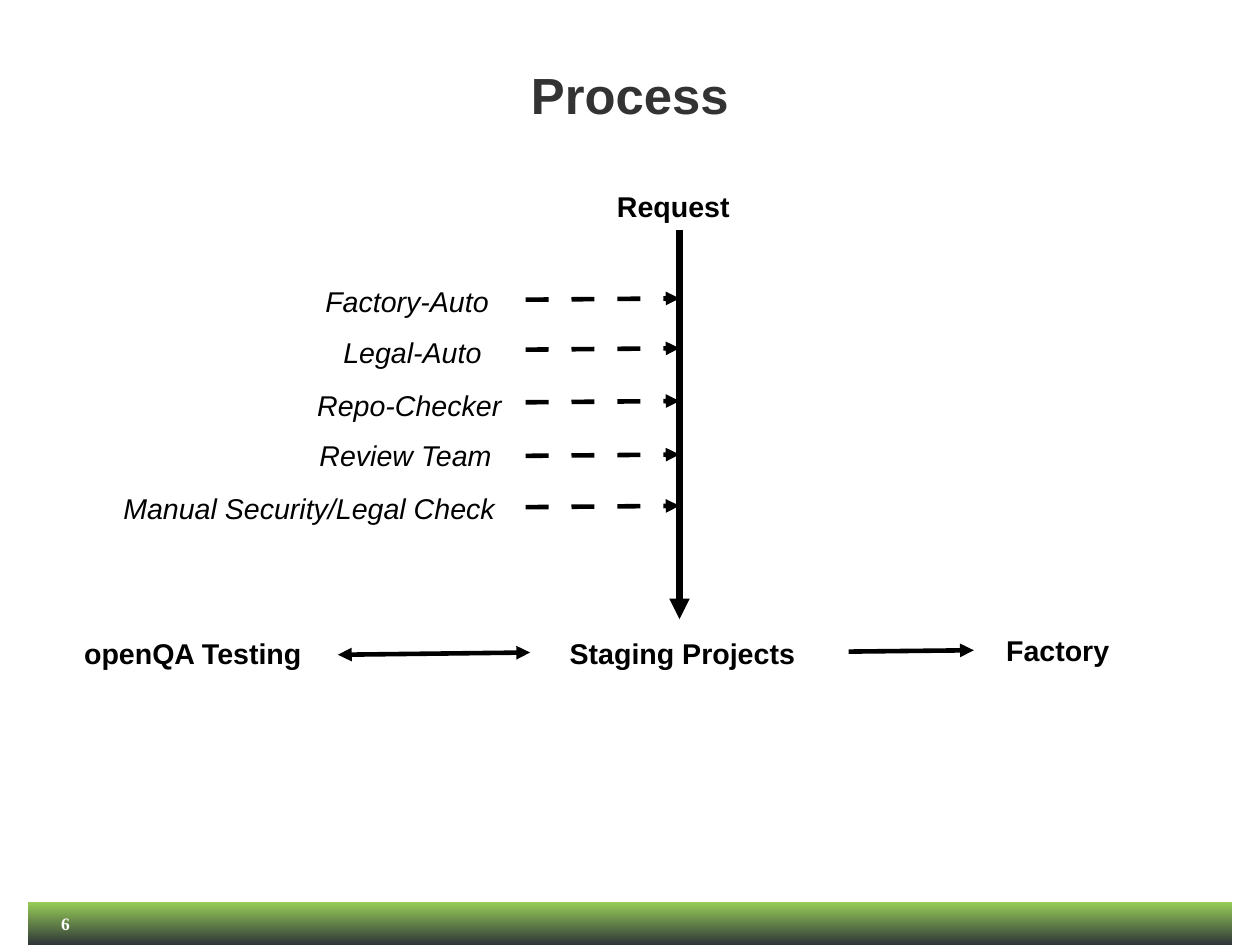
from dataclasses import dataclass

import pptx
import pptx.dml.color
import pptx.enum.shapes
import pptx.enum.text
import pptx.oxml.ns
import pptx.util
from lxml import etree
from pptx.util import Cm

COLORS = {"text": "000000", "title": "333333", "number": "FFFFFF",
          "bar_top": "98CE57", "bar_bottom": "2E3638"}


@dataclass
class Label:
    text: str
    x: float
    y: float
    width: float
    italic: bool = False


@dataclass
class Arrow:
    x1: float
    y1: float
    x2: float
    y2: float
    weight: float = 2.89
    dashed: bool = False
    both_ends: bool = False


@dataclass
class Check:
    text: str
    x: float
    y: float
    width: float
    arrow_y: float


LABEL_HEIGHT = 0.97
FLOW_X = 15.1  # vertical line from Request to Staging Projects
CHECK_ARROW_X = 11.68

CHECKS = [
    Check("Factory-Auto", 6.98, 6.18, 4.2, 6.66),
    Check("Legal-Auto", 7.38, 7.32, 3.65, 7.77),
    Check("Repo-Checker", 6.8, 8.49, 4.65, 8.94),
    Check("Review Team", 6.85, 9.6, 4.4, 10.13),
    Check("Manual Security/Legal Check", 2.49, 10.78, 8.8, 11.27),
]
STAGES = [
    Label("Request", 13.46, 4.08, 3.55),
    Label("openQA Testing", 1.62, 14, 5.45),
    Label("Staging Projects", 12.41, 14, 5.8),
    Label("Factory", 22.11, 13.94, 2.9),
]
STAGE_ARROWS = [
    Arrow(FLOW_X, 5.11, FLOW_X, 13.76, weight=4.31),
    Arrow(7.51, 14.55, 11.78, 14.5, both_ends=True),
    Arrow(18.86, 14.48, 21.64, 14.45),
]


def rgb(name: str) -> pptx.dml.color.RGBColor:
    return pptx.dml.color.RGBColor.from_string(COLORS[name])


def format_run(r, size: float, color: str, font: str = "Arial",
               bold: bool = False, italic: bool = False) -> None:
    r.font.name = font
    r.font.size = pptx.util.Pt(size)
    r.font.bold = bold
    r.font.italic = italic
    r.font.color.rgb = rgb(color)


def center_frame(tf) -> None:
    tf.margin_left = tf.margin_right = tf.margin_top = tf.margin_bottom = 0
    tf.vertical_anchor = pptx.enum.text.MSO_ANCHOR.MIDDLE
    tf.paragraphs[0].alignment = pptx.enum.text.PP_ALIGN.CENTER


def add_label(slide, label: Label) -> None:
    sp = slide.shapes.add_textbox(Cm(label.x), Cm(label.y),
                                  Cm(label.width), Cm(LABEL_HEIGHT))
    tf = sp.text_frame
    tf.word_wrap = False
    tf.auto_size = pptx.enum.text.MSO_AUTO_SIZE.SHAPE_TO_FIT_TEXT
    tf.text = label.text
    format_run(tf.paragraphs[0].runs[0], 18, "text",
               bold=not label.italic, italic=label.italic)


def add_arrow(slide, arrow: Arrow) -> None:
    qn = pptx.oxml.ns.qn
    cxn = slide.shapes.add_connector(
        pptx.enum.shapes.MSO_CONNECTOR.STRAIGHT,
        Cm(arrow.x1), Cm(arrow.y1), Cm(arrow.x2), Cm(arrow.y2))
    cxn.line.color.rgb = rgb("text")
    cxn.line.width = pptx.util.Pt(arrow.weight)
    spPr = cxn._element.spPr
    ln = spPr.find(qn("a:ln"))
    if arrow.dashed:
        dash = etree.SubElement(ln, qn("a:custDash"))
        etree.SubElement(dash, qn("a:ds"), d="500000", sp="500000")
    if arrow.both_ends:
        etree.SubElement(ln, qn("a:headEnd"), type="triangle")
    etree.SubElement(ln, qn("a:tailEnd"), type="triangle")
    etree.SubElement(spPr, qn("a:effectLst"))


def add_footer(slide, number: str) -> None:
    # Gradient bar
    sp = slide.shapes.add_shape(pptx.enum.shapes.MSO_SHAPE.RECTANGLE,
                                Cm(0.62), Cm(20.04), Cm(26.76), Cm(0.96))
    sp.shadow.inherit = False
    sp.line.fill.background()
    sp.fill.gradient()
    sp.fill.gradient_angle = 90
    for stop, color in zip(sp.fill.gradient_stops, ("bar_bottom", "bar_top")):
        stop.color.rgb = rgb(color)

    # Slide number
    sp = slide.shapes.add_textbox(Cm(0.62), Cm(20.04), Cm(1.67), Cm(0.96))
    tf = sp.text_frame
    tf.word_wrap = True
    tf.text = number
    center_frame(tf)
    format_run(tf.paragraphs[0].runs[0], 11, "number", "Times New Roman", bold=True)


def add_title(slide, text: str) -> None:
    sp = slide.shapes.title
    sp.left, sp.top, sp.width, sp.height = Cm(1.4), Cm(0.84), Cm(25.2), Cm(2.51)
    tf = sp.text_frame
    tf.text = text
    center_frame(tf)
    format_run(tf.paragraphs[0].runs[0], 32, "title", bold=True)


def main() -> None:
    prs = pptx.Presentation()
    prs.slide_width, prs.slide_height = Cm(28), Cm(21)
    slide = prs.slides.add_slide(prs.slide_layouts[5])

    add_title(slide, "Process")
    add_footer(slide, "6")

    # Main flow
    for stage in STAGES:
        add_label(slide, stage)
    for arrow in STAGE_ARROWS:
        add_arrow(slide, arrow)

    # Checks feeding into the flow
    for check in CHECKS:
        add_label(slide, Label(check.text, check.x, check.y, check.width, italic=True))
        add_arrow(slide, Arrow(CHECK_ARROW_X, check.arrow_y,
                               FLOW_X, check.arrow_y - 0.03, dashed=True))

    prs.save("out.pptx")


if __name__ == "__main__":
    main()
